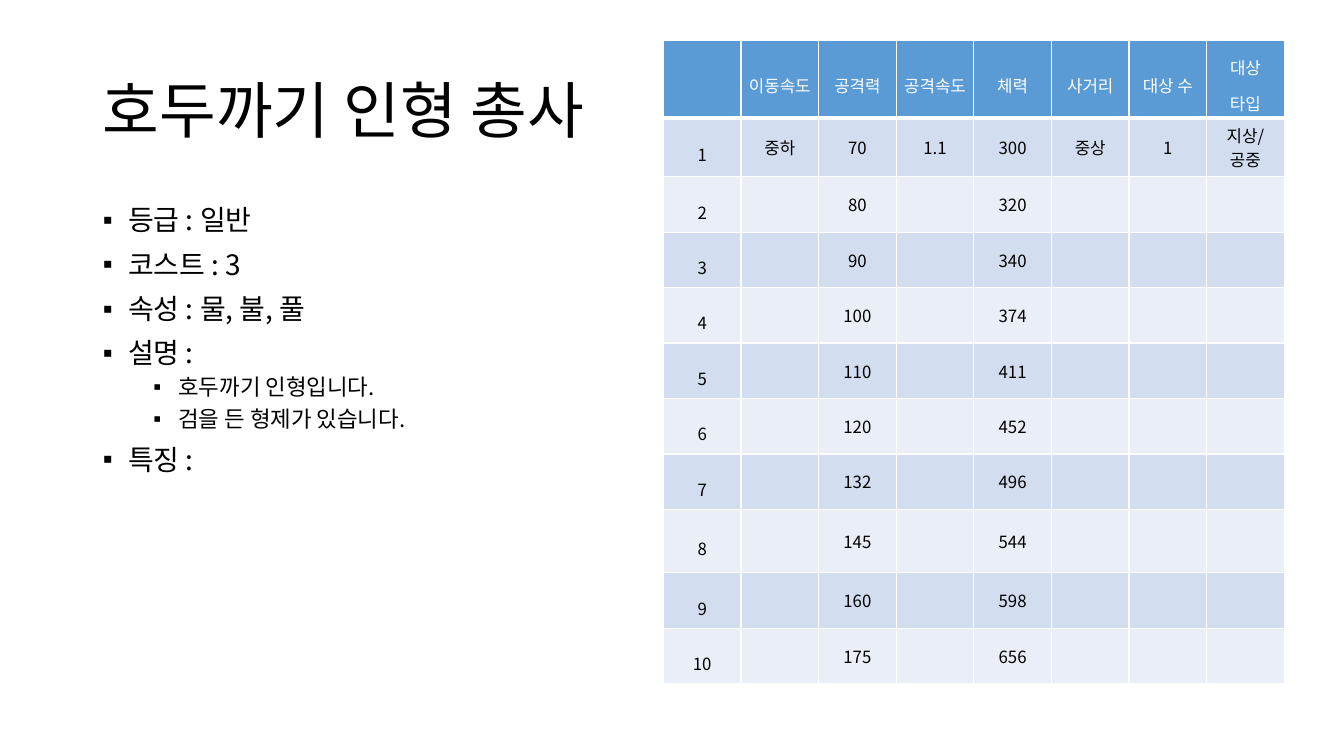
import pptx
import pptx.dml.color
import pptx.enum.text
import pptx.oxml.ns
import pptx.util
from lxml import etree
from pptx.util import Inches, Pt

FONT = "Noto Sans CJK KR"
BLACK, WHITE = "000000", "FFFFFF"
HEADER_FILL, BANDS = "5B9BD5", ("D2DEEF", "EAEFF7")

TITLE = "호두까기 인형 총사"
DETAILS = [
    (0, "등급 : 일반"),
    (0, "코스트 : 3"),
    (0, "속성 : 물, 불, 풀"),
    (0, "설명 :"),
    (1, "호두까기 인형입니다."),
    (1, "검을 든 형제가 있습니다."),
    (0, "특징 :"),
]
# Per outline level: size, space before, left margin
LEVELS = [(20, 10, 0.25), (16, 5, 0.75)]

HEADERS = ["", "이동속도", "공격력", "공격속도", "체력", "사거리", "대상 수", "대상 타입"]
FIRST_LEVEL = ["1", "중하", "70", "1.1", "300", "중상", "1", "지상/ 공중"]
ATTACK_HEALTH = [(80, 320), (90, 340), (100, 374), (110, 411), (120, 452),
                 (132, 496), (145, 544), (160, 598), (175, 656)]
ROWS = [HEADERS, FIRST_LEVEL] + [
    [str(level), "", str(attack), "", str(health), "", "", ""]
    for level, (attack, health) in enumerate(ATTACK_HEALTH, start=2)
]
COLUMN_WIDTH = 0.77
ROW_HEIGHTS = [0.77] + [0.55] * 7 + [0.63] + [0.55] * 2


def color(value):
    return pptx.dml.color.RGBColor.from_string(value)


def add_element(parent, tag, **attributes):
    return etree.SubElement(parent, pptx.oxml.ns.qn(tag), attributes)


def format_runs(paragraph, size, font_color):
    for run in paragraph.runs:
        run.font.size = Pt(size)
        run.font.name = FONT
        run.font.color.rgb = color(font_color)
        add_element(run.font._element, "a:ea", typeface=FONT)


def place(shape, left, top, width, height):
    shape.left, shape.top = Inches(left), Inches(top)
    shape.width, shape.height = Inches(width), Inches(height)
    shape.text_frame.auto_size = pptx.enum.text.MSO_AUTO_SIZE.NONE


def fill_title(shape):
    place(shape, 0.92, 0.4, 11.5, 1.45)
    shape.text_frame.text = TITLE
    shape.text_frame.vertical_anchor = pptx.enum.text.MSO_ANCHOR.MIDDLE
    paragraph = shape.text_frame.paragraphs[0]
    paragraph.alignment = pptx.enum.text.PP_ALIGN.LEFT
    paragraph.line_spacing = 0.9
    format_runs(paragraph, 44, BLACK)


def fill_details(shape):
    place(shape, 0.92, 2, 5.67, 4.76)
    shape.text_frame.text = "\n".join(text for _, text in DETAILS)
    for paragraph, (level, _) in zip(shape.text_frame.paragraphs, DETAILS):
        size, space_before, margin = LEVELS[level]
        paragraph.level = level
        paragraph.line_spacing = 0.9
        paragraph.space_before = Pt(space_before)
        format_runs(paragraph, size, BLACK)
        properties = paragraph._p.get_or_add_pPr()
        properties.set("marL", str(Inches(margin)))
        properties.set("indent", str(Inches(-0.25)))
        add_element(properties, "a:buChar", char="▪")


def set_borders(cell, top, bottom):
    properties = cell._tc.get_or_add_tcPr()
    widths = {"a:lnL": 1, "a:lnR": 1, "a:lnT": top, "a:lnB": bottom}
    for tag, width in widths.items():
        line = add_element(properties, tag, w=str(Pt(width)))
        add_element(add_element(line, "a:solidFill"), "a:srgbClr", val=WHITE)


def fill_cell(cell, text, row, column):
    is_header = row == 0
    set_borders(cell, top=3 if row == 1 else 1, bottom=3 if is_header else 1)
    cell.fill.solid()
    cell.fill.fore_color.rgb = color(HEADER_FILL if is_header else BANDS[(row + 1) % 2])
    if not text:
        return
    is_label = is_header or column == 0
    cell.margin_left = cell.margin_right = Inches(0.06 if is_label else 0.09)
    cell.margin_top = cell.margin_bottom = Inches(0.02 if is_label else 0.05)
    cell.vertical_anchor = pptx.enum.text.MSO_ANCHOR.MIDDLE
    cell.text_frame.text = text
    paragraph = cell.text_frame.paragraphs[0]
    paragraph.alignment = pptx.enum.text.PP_ALIGN.CENTER
    if is_label:
        paragraph.line_spacing = 1.5 if is_header else 1.6
    format_runs(paragraph, 12, WHITE if is_header else BLACK)


def add_stats_table(slide):
    frame = slide.shapes.add_table(
        len(ROWS), len(HEADERS), Inches(6.58), Inches(0.4),
        Inches(COLUMN_WIDTH * len(HEADERS)), Inches(sum(ROW_HEIGHTS)))
    table = frame.table
    for column in table.columns:
        column.width = Inches(COLUMN_WIDTH)
    for row, (height, texts) in enumerate(zip(ROW_HEIGHTS, ROWS)):
        table.rows[row].height = Inches(height)
        for column, text in enumerate(texts):
            fill_cell(table.cell(row, column), text, row, column)


def main():
    presentation = pptx.Presentation()
    presentation.slide_width = Inches(13.33)
    presentation.slide_height = Inches(7.5)
    slide = presentation.slides.add_slide(presentation.slide_layouts[1])
    fill_title(slide.shapes.title)
    fill_details(slide.placeholders[1])
    add_stats_table(slide)
    presentation.save("out.pptx")


if __name__ == "__main__":
    main()
